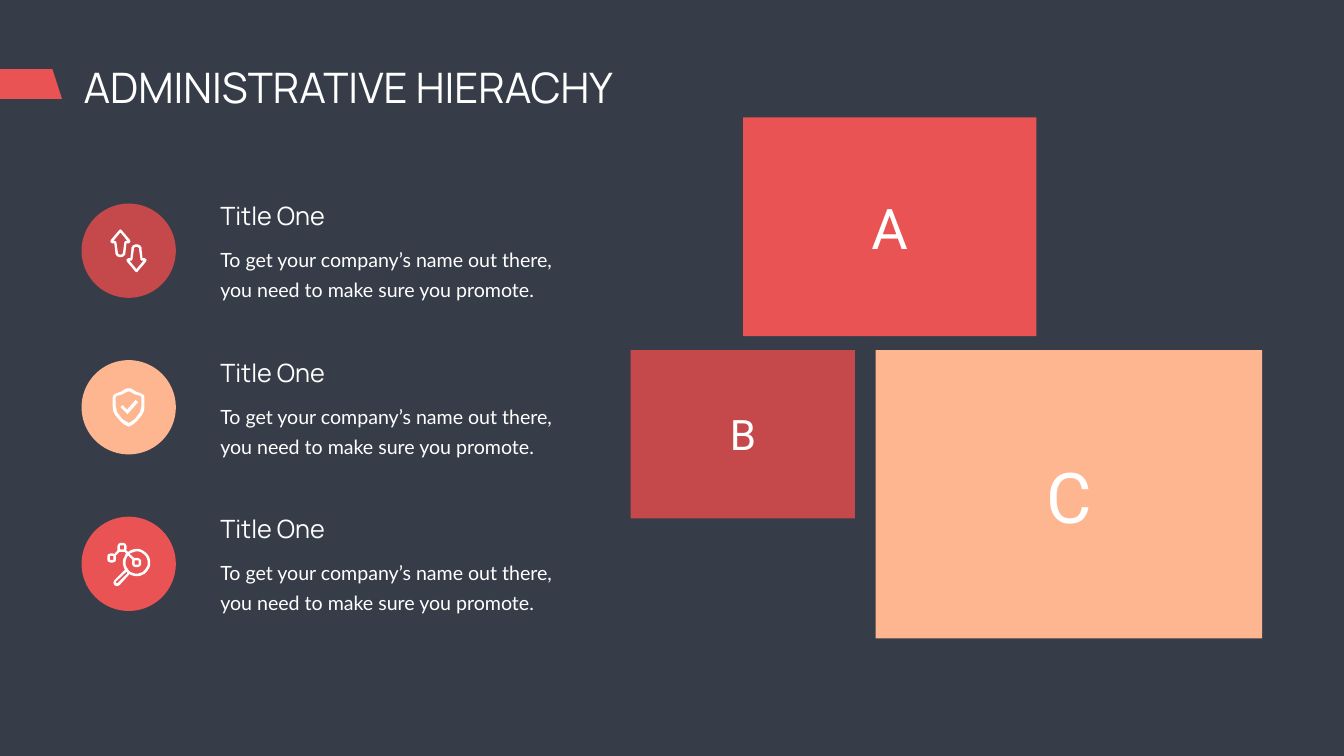
import math
from dataclasses import dataclass

import pptx
import pptx.dml.color
import pptx.enum.shapes
import pptx.enum.text
import pptx.util

Cm = pptx.util.Cm
Point = tuple[float, float]
Contour = list[Point]

COLORS = {
    "slate": "363D48",
    "coral": "E95354",
    "brick": "C5494B",
    "peach": "FEB691",
    "white": "FFFFFF",
}
OUTLINE_UNIT = Cm(0.0254)
ROW_TOP, ROW_PITCH = 9.98, 7.89
BADGE_LEFT, BADGE_SIZE, BADGE_DROP = 4.11, 4.75, 0.28
TEXT_LEFT = 10.85
LETTER_RAISE = 0.16
DESCRIPTION = "To get your company’s name out there, you need to make sure you promote."


@dataclass
class Block:
    letter: str
    color: str
    left: float
    top: float
    width: float
    height: float
    letter_width: float
    letter_height: float
    size: int


@dataclass
class Glyph:
    left: float
    top: float
    contours: list[Contour]


@dataclass
class Row:
    color: str
    glyphs: list[Glyph]


def arc(x: float, y: float, rx: float, ry: float, start: float, end: float) -> Contour:
    steps = max(8, round(abs(end - start) / 8))
    angles = [math.radians(start + (end - start) * i / steps) for i in range(steps + 1)]
    return [(round(x + rx * math.cos(a), 2), round(y + ry * math.sin(a), 2)) for a in angles]


def square(left: float, top: float, side: float) -> Contour:
    return [(left, top), (left + side, top), (left + side, top + side), (left, top + side)]


def mirrored(half: Contour, width: float) -> Contour:
    return half + [(width - x, y) for x, y in reversed(half)]


def turned(contours: list[Contour], width: float, height: float) -> list[Contour]:
    return [[(width - x, height - y) for x, y in contour] for contour in contours]


def paint(shape, color: str) -> None:
    shape.shadow.inherit = False
    shape.fill.solid()
    shape.fill.fore_color.rgb = pptx.dml.color.RGBColor.from_string(COLORS[color])
    shape.line.fill.background()


def add_preset(page, kind, color: str, left: float, top: float, width: float, height: float) -> None:
    shape = page.shapes.add_shape(kind, Cm(left), Cm(top), Cm(width), Cm(height))
    paint(shape, color)


def add_outline(page, contours: list[Contour], color: str, left: float, top: float) -> None:
    first, *others = contours
    builder = page.shapes.build_freeform(*first[0], scale=float(OUTLINE_UNIT))
    builder.add_line_segments(first[1:], close=True)
    for contour in others:
        builder.move_to(*contour[0])
        builder.add_line_segments(contour[1:], close=True)
    paint(builder.convert_to_shape(Cm(left), Cm(top)), color)


def add_text(page, text: str, *, left: float, top: float, width: float, height: float,
             size: int, font: str, wrap: bool = True, centered: bool = False,
             spacing: int | None = None) -> None:
    box = page.shapes.add_textbox(Cm(left), Cm(top), Cm(width), Cm(height))
    frame = box.text_frame
    frame.word_wrap = wrap
    frame.auto_size = pptx.enum.text.MSO_AUTO_SIZE.SHAPE_TO_FIT_TEXT
    para = frame.paragraphs[0]
    if centered:
        para.alignment = pptx.enum.text.PP_ALIGN.CENTER
    if spacing:
        para.line_spacing = pptx.util.Pt(spacing)
    span = para.add_run()
    span.text = text
    span.font.name = font
    span.font.size = pptx.util.Pt(size)
    span.font.color.rgb = pptx.dml.color.RGBColor.from_string(COLORS["white"])


def add_block(page, block: Block) -> None:
    add_preset(page, pptx.enum.shapes.MSO_SHAPE.RECTANGLE, block.color,
               block.left, block.top, block.width, block.height)
    add_text(page, block.letter,
             left=block.left + (block.width - block.letter_width) / 2,
             top=block.top + (block.height - block.letter_height) / 2 - LETTER_RAISE,
             width=block.letter_width, height=block.letter_height,
             size=block.size, font="Roboto", wrap=False, centered=True)


def add_row(page, row: Row, top: float) -> None:
    add_text(page, DESCRIPTION, left=TEXT_LEFT, top=top + 2.06, width=18.92, height=3.18,
             size=28, font="Lato", spacing=43)
    add_text(page, "Title One", left=TEXT_LEFT, top=top, width=13.21, height=1.8,
             size=36, font="Manrope")
    badge_top = top + BADGE_DROP
    add_preset(page, pptx.enum.shapes.MSO_SHAPE.OVAL, row.color,
               BADGE_LEFT, badge_top, BADGE_SIZE, BADGE_SIZE)
    for glyph in row.glyphs:
        add_outline(page, glyph.contours, "white",
                    BADGE_LEFT + glyph.left, badge_top + glyph.top)


RIBBON = [[(0, 0), (104, 0), (123, 59), (0, 59)]]
ARROW = [
    [(20, 0), (22, 1), (39, 21), (40, 25), (36, 28), (32, 28),
     *arc(20, 46, 10, 9, 0, 180), (8, 28), (4, 28), (0, 25), (1, 21), (18, 1)],
    [(20, 6), (34, 23), (30, 23), (28, 25),
     *arc(20, 46, 5, 4, 0, 180), (12, 25), (10, 23), (6, 23)],
]
SHIELD = [
    mirrored([(31.5, 0), (35, 0.5), (39, 2), (47, 7), (56, 10), (61, 13), (63, 18),
              (63, 36), (62, 45), (58, 53), (48, 65), (40, 72), (31.5, 76)], 63),
    mirrored([(31.5, 6), (35, 7), (44, 12), (55, 15), (57, 18),
              (57, 36), (54, 48), (44, 61), (31.5, 69)], 63),
]
CHECK = [[(13, 19), (4, 10), (0, 14), (14, 28), (35, 4), (30, 0)]]
MAGNIFIER = [
    [(37, 14), (38, 12), (38, 6), (36, 2), (32, 0), (26, 0), (22, 2), (20, 6), (20, 15),
     (14, 22), (11, 21), (6, 21), (1, 23), (0, 27), (0, 33), (1, 37), (6, 39), (11, 39),
     (16, 37), (17, 33), (17, 25), (24, 18), (34, 18), (37, 21),
     *arc(58, 39, 27, 27, 221, 149), (14, 74), (12, 79), (14, 84), (19, 86), (24, 84),
     *arc(58, 39, 27, 27, 121, -129)],
    square(25, 5, 8),
    square(5, 26, 7.5),
    [(20, 80), (17, 80), (17, 77), (38, 57), (40, 60)],
    [(41, 25), (50, 34), (49, 36), (49, 42), (51, 46), (55, 48), (61, 48), (65, 46),
     (67, 42), (67, 36), (65, 32), (61, 30), (53, 30), *arc(58, 39, 22, 22, -128, 219)],
    square(54, 35, 8),
]

BLOCKS = [
    Block("C", "peach", 44.12, 17.65, 19.48, 14.53, 3.33, 4.06, 100),
    Block("B", "brick", 31.78, 17.65, 11.3, 8.48, 2.26, 2.51, 60),
    Block("A", "coral", 37.44, 5.92, 14.78, 11.02, 2.82, 3.3, 80),
]
ROWS = [
    Row("brick", [Glyph(1.45, 1.3, ARROW), Glyph(2.26, 2.06, turned(ARROW, 40, 55))]),
    Row("peach", [Glyph(1.96, 2.01, CHECK), Glyph(1.57, 1.42, SHIELD)]),
    Row("coral", [Glyph(1.3, 1.32, MAGNIFIER)]),
]


def main() -> None:
    deck = pptx.Presentation()
    deck.slide_width, deck.slide_height = Cm(67.72), Cm(38.1)
    page = deck.slides.add_slide(deck.slide_layouts[6])
    page.background.fill.solid()
    page.background.fill.fore_color.rgb = pptx.dml.color.RGBColor.from_string(COLORS["slate"])
    add_text(page, "ADMINISTRATIVE HIERACHY", left=3.96, top=2.95, width=39.37, height=2.82,
             size=60, font="Manrope")
    add_outline(page, RIBBON, "coral", 0, 3.48)
    for block in BLOCKS:
        add_block(page, block)
    for index, row in enumerate(ROWS):
        add_row(page, row, ROW_TOP + index * ROW_PITCH)
    deck.save("out.pptx")


if __name__ == "__main__":
    main()
